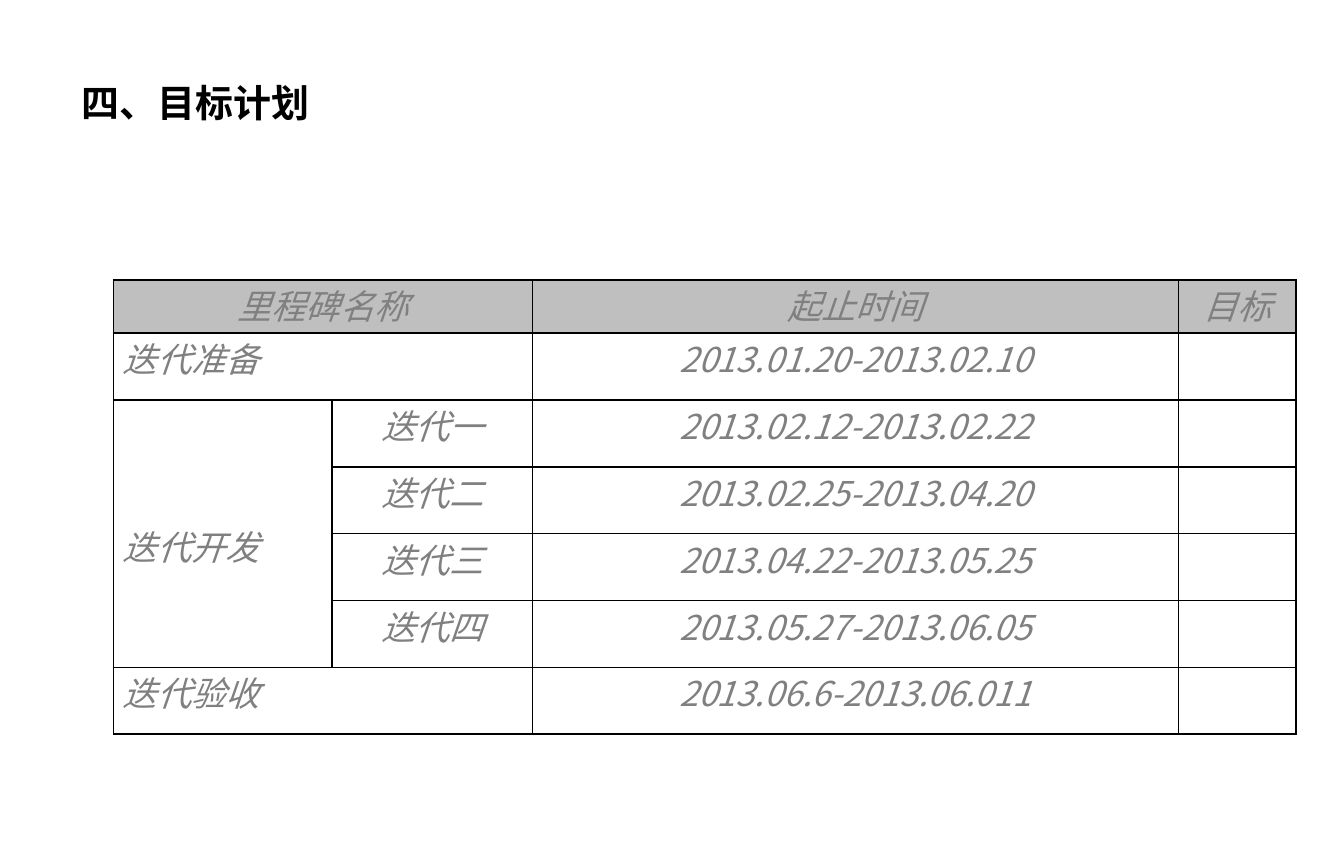
from lxml.etree import SubElement
from pptx import Presentation
from pptx.dml.color import RGBColor
from pptx.enum.text import MSO_ANCHOR as Anchor, PP_ALIGN as Align
from pptx.oxml.ns import qn
from pptx.util import Pt

BLACK = RGBColor(0x00, 0x00, 0x00)
TEXT_GRAY = RGBColor(0x80, 0x80, 0x80)
HEADER_GRAY = RGBColor(0xBF, 0xBF, 0xBF)
EMU_PER_PX = 9144

COLUMN_WIDTHS = [160, 147, 473, 86]
ROW_HEIGHTS = [39] + [49] * 6
PLAN = [
    ["里程碑名称", "", "起止时间", "目标"],
    ["迭代准备", "", "2013.01.20-2013.02.10", ""],
    ["迭代开发", "迭代一", "2013.02.12-2013.02.22", ""],
    ["", "迭代二", "2013.02.25-2013.04.20", ""],
    ["", "迭代三", "2013.04.22-2013.05.25", ""],
    ["", "迭代四", "2013.05.27-2013.06.05", ""],
    ["迭代验收", "", "2013.06.6-2013.06.011", ""],
]
MERGES = [((0, 0), (0, 1)), ((1, 0), (1, 1)), ((2, 0), (5, 0)), ((6, 0), (6, 1))]
DEVELOPMENT_ROW = 2


def px(length):
    return length * EMU_PER_PX


class PlanSlide:
    font_name = "Noto Sans CJK SC"

    def __init__(self, presentation):
        self.slide = presentation.slides.add_slide(presentation.slide_layouts[6])

    def style(self, paragraph, size, color, bold=False, italic=False):
        for run in paragraph.runs:
            font = run.font
            font.name = self.font_name
            font.size = Pt(size)
            font.bold = bold
            font.italic = italic
            font.color.rgb = color
            SubElement(font._element, qn("a:ea"), typeface=self.font_name)

    def title(self, text, left, top, width, height):
        shape = self.slide.shapes.add_textbox(px(left), px(top), px(width), px(height))
        text_frame = shape.text_frame
        text_frame.word_wrap = True
        text_frame.margin_top = px(2)
        text_frame.text = text
        self.style(text_frame.paragraphs[0], 20, BLACK, bold=True)

    def borders(self, cell):
        properties = cell._tc.get_or_add_tcPr()
        for side in ("lnL", "lnR", "lnT", "lnB"):
            line = SubElement(properties, qn(f"a:{side}"), w=str(Pt(1)))
            fill = SubElement(line, qn("a:solidFill"))
            SubElement(fill, qn("a:srgbClr"), val=str(BLACK))

    def cell(self, cell, text, align, fill_color=None, top_margin=0):
        cell.margin_left = cell.margin_right = px(7)
        cell.margin_top = px(top_margin)
        cell.margin_bottom = 0
        cell.vertical_anchor = Anchor.TOP
        self.borders(cell)
        if fill_color is None:
            cell.fill.background()
        else:
            cell.fill.solid()
            cell.fill.fore_color.rgb = fill_color
        cell.text_frame.text = text
        paragraph = cell.text_frame.paragraphs[0]
        paragraph.alignment = align
        paragraph.space_before = paragraph.space_after = Pt(3)
        self.style(paragraph, 18, TEXT_GRAY, italic=True)

    def table(self, rows, left, top):
        shape = self.slide.shapes.add_table(
            len(rows), len(COLUMN_WIDTHS), px(left), px(top),
            px(sum(COLUMN_WIDTHS)), px(sum(ROW_HEIGHTS)))
        table = shape.table
        table.first_row = table.horz_banding = False
        for column, width in zip(table.columns, COLUMN_WIDTHS):
            column.width = px(width)
        for row, height in zip(table.rows, ROW_HEIGHTS):
            row.height = px(height)
        for start, end in MERGES:
            table.cell(*start).merge(table.cell(*end))
        for row_index, texts in enumerate(rows):
            for column_index, text in enumerate(texts):
                is_header = row_index == 0
                is_name = column_index == 0
                is_development = is_name and row_index == DEVELOPMENT_ROW
                self.cell(
                    table.cell(row_index, column_index), text,
                    Align.LEFT if is_name and not is_header else Align.CENTER,
                    HEADER_GRAY if is_header else None,
                    89 if is_development else 0)


def main():
    presentation = Presentation()
    presentation.slide_width = px(984)
    presentation.slide_height = px(630)
    plan_slide = PlanSlide(presentation)
    plan_slide.title("四、目标计划", 50, 56, 900, 79)
    plan_slide.table(PLAN, 83, 205)
    presentation.save("out.pptx")


if __name__ == "__main__":
    main()
